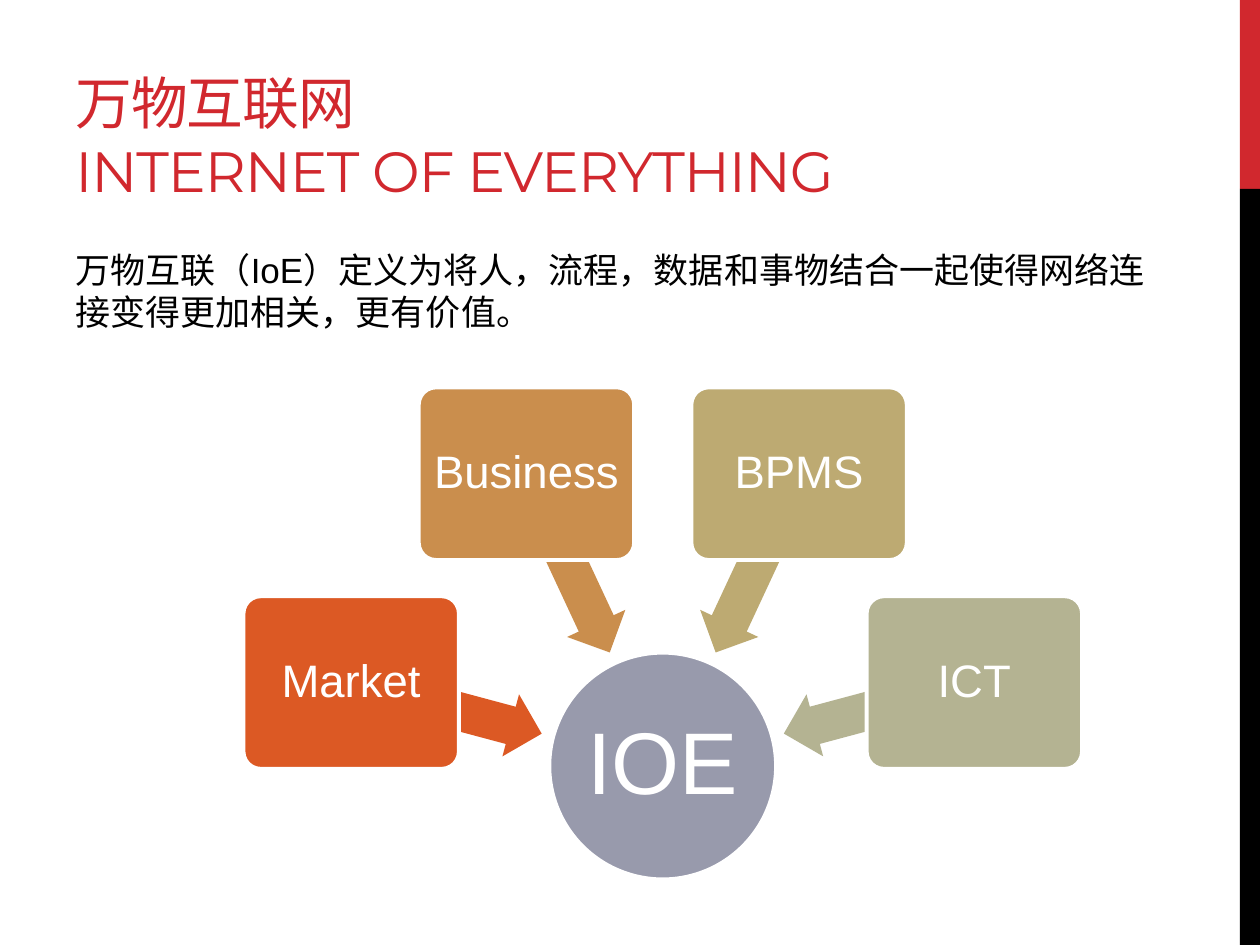
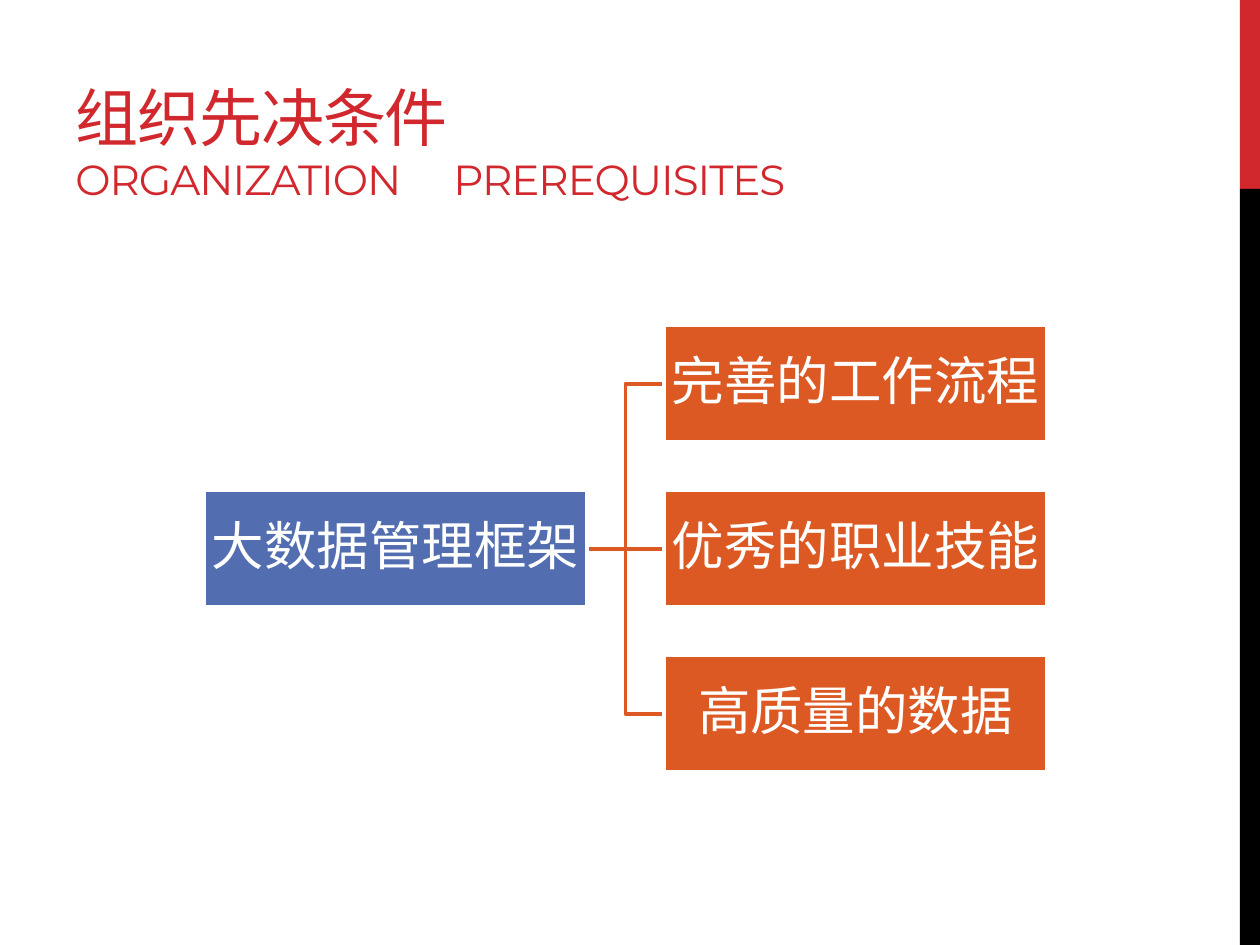
from math import cos, radians, sin

from lxml.etree import SubElement
from pptx import Presentation
from pptx.dml.color import RGBColor
from pptx.enum.shapes import MSO_CONNECTOR, MSO_SHAPE
from pptx.enum.text import MSO_ANCHOR, PP_ALIGN
from pptx.oxml.ns import qn
from pptx.util import Inches, Pt

RED = RGBColor(0xD1, 0x28, 0x2E)
BLACK = RGBColor(0x00, 0x00, 0x00)
WHITE = RGBColor(0xFF, 0xFF, 0xFF)
ORANGE = RGBColor(0xDC, 0x59, 0x24)
OCHRE = RGBColor(0xCA, 0x8E, 0x4D)
SAND = RGBColor(0xBD, 0xAA, 0x72)
SAGE = RGBColor(0xB4, 0xB3, 0x92)
SLATE = RGBColor(0x98, 0x9A, 0xAC)
BLUE = RGBColor(0x52, 0x6D, 0xB0)

TITLE_FONT = "Montserrat"
BODY_FONT = "Arial"
LINE_WIDTH = Pt(2.25)


def format_span(span, font, size, color, spacing=0):
    span.font.name = font
    span.font.size = Pt(size)
    span.font.color.rgb = color
    properties = span._r.get_or_add_rPr()
    properties.set("lang", "zh-CN")
    if spacing:
        properties.set("spc", str(spacing))
    east_asian = properties.makeelement(qn("a:ea"), {"typeface": font})
    properties.find(qn("a:latin")).addnext(east_asian)


def add_filled_shape(page, kind, left, top, width, height, color, outline=None):
    shape = page.shapes.add_shape(
        kind, Inches(left), Inches(top), Inches(width), Inches(height)
    )
    shape.shadow.inherit = False
    shape.fill.solid()
    shape.fill.fore_color.rgb = color
    if outline is None:
        shape.line.fill.background()
    else:
        shape.line.color.rgb = outline
        shape.line.width = LINE_WIDTH
    return shape


def add_node(page, kind, left, top, width, height, color, label, size, inset):
    node = add_filled_shape(page, kind, left, top, width, height, color, WHITE)
    frame = node.text_frame
    frame.word_wrap = True
    frame.vertical_anchor = MSO_ANCHOR.MIDDLE
    frame.margin_left = frame.margin_right = Inches(inset)
    frame.margin_top = frame.margin_bottom = Inches(inset)
    frame.text = label
    para = frame.paragraphs[0]
    para.alignment = PP_ALIGN.CENTER
    para.line_spacing = 0.9
    format_span(para.runs[0], BODY_FONT, size, WHITE)
    return node


def add_text_box(page, left, top, width, height, anchor):
    box = page.shapes.add_textbox(
        Inches(left), Inches(top), Inches(width), Inches(height)
    )
    box.text_frame.word_wrap = True
    box.text_frame.vertical_anchor = anchor
    return box.text_frame.paragraphs[0]


def add_title(page, width, chinese, chinese_size, english, english_size):
    para = add_text_box(page, 0.5, 0.17, width, 1.5, MSO_ANCHOR.BOTTOM)
    for text, size in ((chinese, chinese_size), (english, english_size)):
        if para.runs:
            para.add_line_break()
        span = para.add_run()
        span.text = text
        format_span(span, TITLE_FONT, size, RED, -60)


def add_body(page, text):
    para = add_text_box(page, 0.5, 1.92, 8.82, 1, MSO_ANCHOR.TOP)
    para.text = text
    para.space_before = Pt(4)
    para.space_after = Pt(6)
    format_span(para.runs[0], BODY_FONT, 20, BLACK)


def add_page(deck):
    page = deck.slides.add_slide(deck.slide_layouts[6])
    for top, height, color in ((0, 1.5, RED), (1.5, 6, BLACK)):
        add_filled_shape(page, MSO_SHAPE.RECTANGLE, 9.84, top, 0.16, height, color)
    return page


def draw_radial(page, center_x, center_y, hub_label, sources):
    hub_size = 1.8
    source_width, source_height, source_radius = 1.71, 1.37, 2.56
    arrow_width, arrow_height, arrow_radius = 1.57, 0.51, 1.78
    first_angle, angle_step = 195, 50

    def corner(radius, angle, width, height):
        x = center_x + radius * cos(radians(angle))
        y = center_y + radius * sin(radians(angle))
        return x - width / 2, y - height / 2

    add_node(page, MSO_SHAPE.OVAL, *corner(0, 0, hub_size, hub_size),
             hub_size, hub_size, SLATE, hub_label, 50, 0.03)
    for index, (label, color) in enumerate(sources):
        angle = first_angle + index * angle_step
        left, top = corner(arrow_radius, angle, arrow_width, arrow_height)
        arrow = add_filled_shape(page, MSO_SHAPE.LEFT_ARROW, left, top,
                                 arrow_width, arrow_height, color)
        arrow.adjustments[0] = 0.6
        arrow.adjustments[1] = 0.5
        arrow.rotation = angle
        left, top = corner(source_radius, angle, source_width, source_height)
        source = add_node(page, MSO_SHAPE.ROUNDED_RECTANGLE, left, top,
                          source_width, source_height, color, label, 26, 0.05)
        source.adjustments[0] = 0.1


def draw_branch(page, start_x, start_y, end_x, end_y):
    if start_y == end_y:
        branch = page.shapes.add_connector(
            MSO_CONNECTOR.STRAIGHT, Inches(start_x), Inches(start_y),
            Inches(end_x), Inches(end_y)
        )
        SubElement(branch._element.spPr, qn("a:effectLst"))
    else:
        middle_x = (start_x + end_x) / 2
        corners = ((middle_x, start_y), (middle_x, end_y), (end_x, end_y))
        builder = page.shapes.build_freeform(Inches(start_x), Inches(start_y))
        builder.add_line_segments(
            [(Inches(x), Inches(y)) for x, y in corners], close=False
        )
        branch = builder.convert_to_shape()
        branch.fill.background()
        branch.shadow.inherit = False
    branch.line.color.rgb = ORANGE
    branch.line.width = LINE_WIDTH


def draw_tree(page, left, top, root_label, leaf_labels):
    node_width, node_height = 3.04, 0.93
    column_step, row_step = 3.65, 1.31
    leaf_left = left + column_step
    leaf_tops = [top + row * row_step for row in range(len(leaf_labels))]
    root_top = (leaf_tops[0] + leaf_tops[-1]) / 2
    half = node_height / 2
    for leaf_top in leaf_tops:
        draw_branch(page, left + node_width, root_top + half,
                    leaf_left, leaf_top + half)
    nodes = [(left, root_top, BLUE, root_label)]
    nodes += [(leaf_left, leaf_top, ORANGE, label)
              for leaf_top, label in zip(leaf_tops, leaf_labels)]
    for node_left, node_top, color, label in nodes:
        add_node(page, MSO_SHAPE.RECTANGLE, node_left, node_top,
                 node_width, node_height, color, label, 30, 0.02)


def build_internet_page(deck):
    page = add_page(deck)
    add_title(page, 7.01, "万物互联网", 32.4, "INTERNET OF EVERYTHING", 32.4)
    add_body(page, "万物互联（IoE）定义为将人，流程，数据和事物结合一起"
                   "使得网络连接变得更加相关，更有价值。")
    draw_radial(page, 5.26, 6.08, "IOE", (
        ("Market", ORANGE), ("Business", OCHRE), ("BPMS", SAND), ("ICT", SAGE),
    ))


def build_prerequisites_page(deck):
    page = add_page(deck)
    add_title(page, 6.33, "组织先决条件", 36, "ORGANIZATION\tPREREQUISITES", 24)
    draw_tree(page, 1.62, 2.58, "大数据管理框架",
              ("完善的工作流程", "优秀的职业技能", "高质量的数据"))


def main():
    deck = Presentation()
    deck.slide_width = Inches(10)
    deck.slide_height = Inches(7.5)
    build_internet_page(deck)
    build_prerequisites_page(deck)
    deck.save("out.pptx")


if __name__ == "__main__":
    main()
